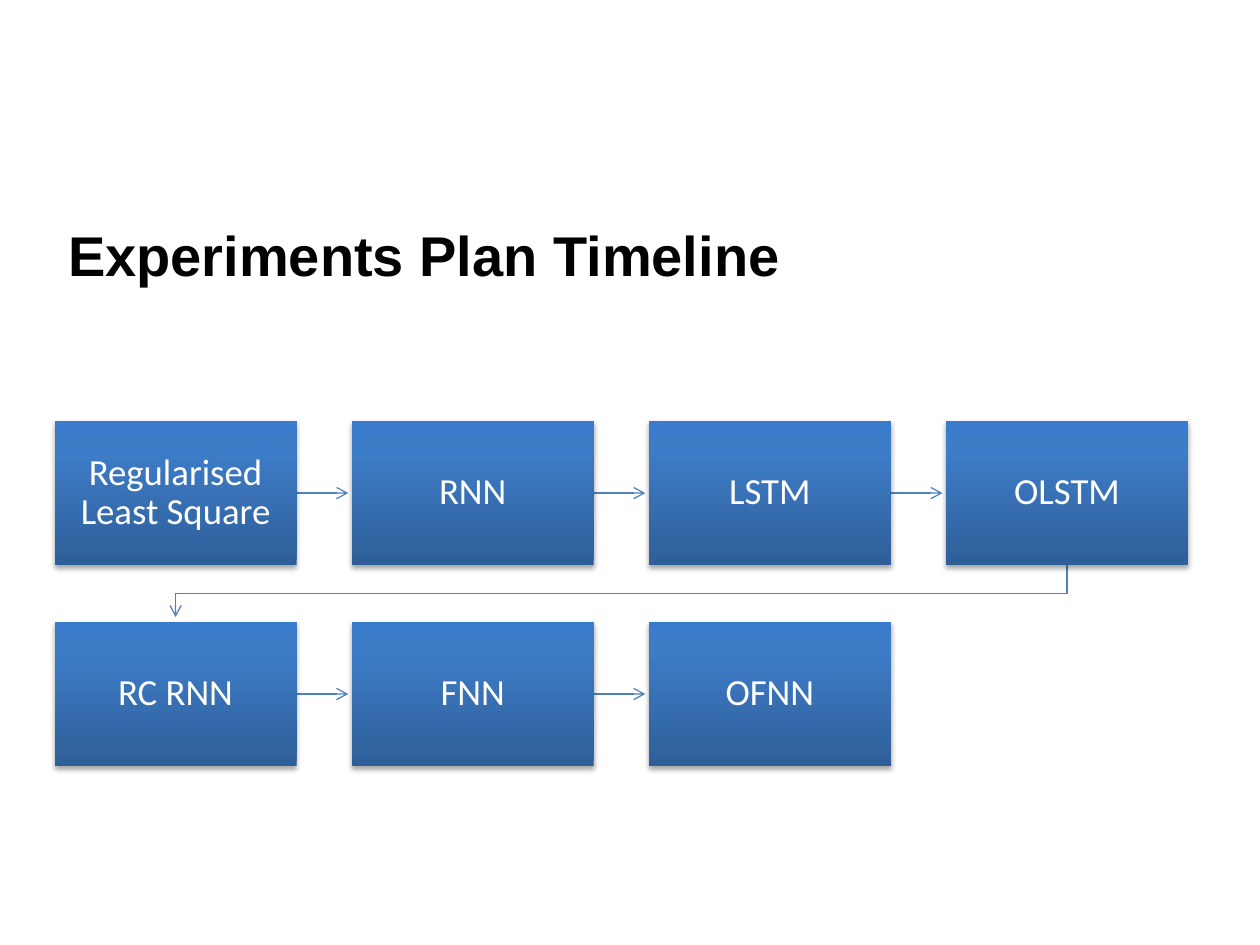
from copy import deepcopy

from pptx import Presentation
from pptx.dml.color import RGBColor
from pptx.enum.shapes import MSO_CONNECTOR, MSO_SHAPE
from pptx.enum.text import MSO_ANCHOR, PP_ALIGN
from pptx.oxml import parse_xml
from pptx.oxml.ns import nsdecls, qn
from pptx.util import Cm, Pt

RECTANGLE = MSO_SHAPE.RECTANGLE
STRAIGHT = MSO_CONNECTOR.STRAIGHT
MIDDLE = MSO_ANCHOR.MIDDLE
LEFT = PP_ALIGN.LEFT
CENTER = PP_ALIGN.CENTER

TIMELINE = [
    ["Regularised Least Square", "RNN", "LSTM", "OLSTM"],
    ["RC RNN", "FNN", "OFNN"],
]
GRADIENT = [(0, "2F5F99"), (0.8, "3D7CC7"), (1, "3A7CCB")]
ARROW_COLOR = "4F81BD"

GRID_LEFT, GRID_TOP = 1.1, 8.48
BOX_WIDTH, BOX_HEIGHT = 4.88, 2.92
COLUMN_STEP, ROW_STEP = 5.99, 4.05
ARROW_LENGTH = 1.04
TURN_DROP = 0.56


def color(value):
    return RGBColor.from_string(value)


def box_position(row, column):
    return GRID_LEFT + column * COLUMN_STEP, GRID_TOP + row * ROW_STEP


def add_text(text_frame, text, font, size, text_color, alignment, bold=False):
    text_frame.word_wrap = True
    text_frame.vertical_anchor = MIDDLE
    paragraph = text_frame.paragraphs[0]
    paragraph.alignment = alignment
    run = paragraph.add_run()
    run.text = text
    run.font.name = font
    run.font.size = Pt(size)
    run.font.bold = bold
    run.font.color.rgb = color(text_color)
    return paragraph


def add_title(slide, text):
    title = slide.shapes.title
    title.left, title.top = Cm(1.12), Cm(3.53)
    title.width, title.height = Cm(16.23), Cm(3.18)
    add_text(title.text_frame, text, "Arial", 32, "000000", LEFT, bold=True)


def fill_gradient(shape):
    shape.fill.gradient()
    shape.fill.gradient_angle = 90
    stop_list = shape._element.spPr.find(qn("a:gradFill")).find(qn("a:gsLst"))
    stop_list.append(deepcopy(stop_list[-1]))
    for stop, (position, value) in zip(shape.fill.gradient_stops, GRADIENT):
        stop.position = position
        stop.color.rgb = color(value)


def add_shadow(shape):
    shape.shadow.inherit = False
    effects = shape._element.spPr.find(qn("a:effectLst"))
    effects.append(parse_xml(
        f'<a:outerShdw {nsdecls("a")} blurRad="39370" dist="22860" dir="5400000" rotWithShape="0">'
        '<a:srgbClr val="000000"><a:alpha val="35000"/></a:srgbClr></a:outerShdw>'
    ))


def add_box(slide, row, column, text):
    left, top = box_position(row, column)
    shape = slide.shapes.add_shape(RECTANGLE, Cm(left), Cm(top), Cm(BOX_WIDTH), Cm(BOX_HEIGHT))
    fill_gradient(shape)
    shape.line.fill.background()
    add_shadow(shape)
    frame = shape.text_frame
    frame.margin_left = frame.margin_right = Cm(0.41)
    frame.margin_top = frame.margin_bottom = Cm(0.41)
    paragraph = add_text(frame, text, "Calibri", 21, "FFFFFF", CENTER)
    paragraph.line_spacing = 0.9


def style_arrow(arrow):
    arrow.line.color.rgb = color(ARROW_COLOR)
    arrow.line.width = Pt(0.75)
    properties = arrow._element.spPr
    properties.find(qn("a:ln")).append(parse_xml(f'<a:tailEnd {nsdecls("a")} type="arrow"/>'))
    properties.append(parse_xml(f'<a:effectLst {nsdecls("a")}/>'))


def add_step_arrow(slide, row, column):
    left, top = box_position(row, column)
    start = left + BOX_WIDTH
    middle = top + BOX_HEIGHT / 2
    arrow = slide.shapes.add_connector(
        STRAIGHT, Cm(start), Cm(middle), Cm(start + ARROW_LENGTH), Cm(middle)
    )
    style_arrow(arrow)


def add_return_arrow(slide, row, column):
    left, top = box_position(row, column)
    start = left + BOX_WIDTH / 2
    end = GRID_LEFT + BOX_WIDTH / 2
    bottom = top + BOX_HEIGHT
    turn = bottom + TURN_DROP
    builder = slide.shapes.build_freeform(Cm(start), Cm(bottom))
    corners = [(start, turn), (end, turn), (end, bottom + ARROW_LENGTH)]
    builder.add_line_segments([(Cm(x), Cm(y)) for x, y in corners], close=False)
    arrow = builder.convert_to_shape()
    arrow.fill.background()
    style_arrow(arrow)


def add_timeline(slide):
    for row, steps in enumerate(TIMELINE):
        last = len(steps) - 1
        for column, text in enumerate(steps):
            if column < last:
                add_step_arrow(slide, row, column)
            elif row < len(TIMELINE) - 1:
                add_return_arrow(slide, row, column)
            add_box(slide, row, column, text)


def main():
    presentation = Presentation()
    presentation.slide_width = Cm(25.4)
    presentation.slide_height = Cm(19.05)
    slide = presentation.slides.add_slide(presentation.slide_layouts[5])
    add_title(slide, "Experiments Plan Timeline")
    add_timeline(slide)
    presentation.save("out.pptx")


if __name__ == "__main__":
    main()
